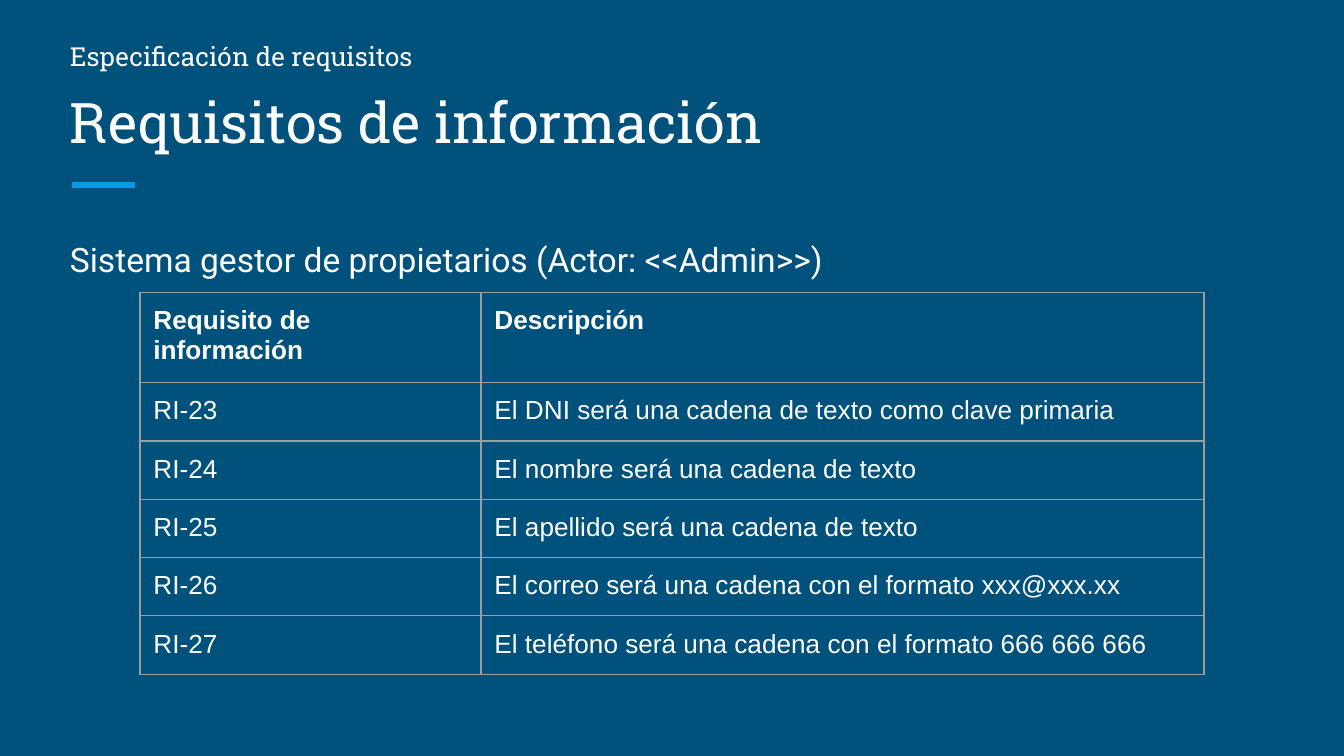
from lxml.etree import SubElement
from pptx import Presentation
from pptx.dml.color import RGBColor
from pptx.enum.shapes import MSO_CONNECTOR
from pptx.enum.text import MSO_ANCHOR
from pptx.oxml import parse_xml
from pptx.oxml.ns import nsdecls, qn
from pptx.util import Pt

BACKGROUND = RGBColor(0x00, 0x51, 0x7C)
WHITE = RGBColor(0xFF, 0xFF, 0xFF)
ACCENT = RGBColor(0x03, 0x9B, 0xE5)
BORDER = RGBColor(0x9E, 0x9E, 0x9E)

INSET = 7.2
TEXT_LEFT = 30.4
TEXT_WIDTH = 659
TEXTS = [
    ("Especificación de requisitos", 14.4, 31.7, "Roboto Slab", 14, MSO_ANCHOR.TOP, 1),
    ("Requisitos de información", 36, 54, "Roboto Slab", 30, MSO_ANCHOR.BOTTOM, 1),
    ("Sistema gestor de propietarios (Actor: <<Admin>>)", 117.4, 242.6, "Roboto", 18,
     MSO_ANCHOR.TOP, 1.15),
]

TABLE_LEFT, TABLE_TOP = 75, 156.8
COLUMN_WIDTHS = [182.7, 387.3]
HEADER_HEIGHT, ROW_HEIGHT = 48.2, 31.2
ROWS = [
    ("Requisito de información", "Descripción"),
    ("RI-23", "El DNI será una cadena de texto como clave primaria"),
    ("RI-24", "El nombre será una cadena de texto"),
    ("RI-25", "El apellido será una cadena de texto"),
    ("RI-26", "El correo será una cadena con el formato xxx@xxx.xx"),
    ("RI-27", "El teléfono será una cadena con el formato 666 666 666"),
]


def write(text_frame, text, font_name, size, bold=False):
    text_frame.text = text
    font = text_frame.paragraphs[0].runs[0].font
    font.name = font_name
    font.size = Pt(size)
    font.bold = bold
    font.color.rgb = WHITE


def set_insets(target):
    target.margin_left = target.margin_right = Pt(INSET)
    target.margin_top = target.margin_bottom = Pt(INSET)


def add_text(slide, text, top, height, font_name, size, anchor, line_spacing):
    shape = slide.shapes.add_textbox(Pt(TEXT_LEFT), Pt(top), Pt(TEXT_WIDTH), Pt(height))
    text_frame = shape.text_frame
    text_frame.word_wrap = True
    text_frame.vertical_anchor = anchor
    set_insets(text_frame)
    write(text_frame, text, font_name, size)
    text_frame.paragraphs[0].line_spacing = line_spacing


def add_accent_line(slide):
    line = slide.shapes.add_connector(MSO_CONNECTOR.STRAIGHT, Pt(38.6), Pt(99), Pt(72.3), Pt(99))
    line.line.color.rgb = ACCENT
    line.line.width = Pt(3)
    SubElement(line._element.spPr, qn("a:effectLst"))


def set_borders(cell):
    properties = cell._tc.get_or_add_tcPr()
    for index, side in enumerate(("lnL", "lnR", "lnT", "lnB")):
        properties.insert(index, parse_xml(
            f'<a:{side} {nsdecls("a")} w="{Pt(0.75)}"><a:solidFill>'
            f'<a:srgbClr val="{BORDER}"/></a:solidFill></a:{side}>'))


def add_requirements_table(slide):
    heights = [HEADER_HEIGHT] + [ROW_HEIGHT] * (len(ROWS) - 1)
    table = slide.shapes.add_table(
        len(ROWS), len(COLUMN_WIDTHS), Pt(TABLE_LEFT), Pt(TABLE_TOP),
        Pt(sum(COLUMN_WIDTHS)), Pt(sum(heights))).table
    table.first_row = True
    table.horz_banding = False
    for column, width in zip(table.columns, COLUMN_WIDTHS):
        column.width = Pt(width)
    for row_index, (height, texts) in enumerate(zip(heights, ROWS)):
        table.rows[row_index].height = Pt(height)
        for column_index, text in enumerate(texts):
            cell = table.cell(row_index, column_index)
            set_insets(cell)
            cell.fill.background()
            set_borders(cell)
            write(cell.text_frame, text, "Arial", 14, bold=row_index == 0)


def main():
    presentation = Presentation()
    presentation.slide_width = Pt(720)
    presentation.slide_height = Pt(405)
    slide = presentation.slides.add_slide(presentation.slide_layouts[6])
    slide.background.fill.solid()
    slide.background.fill.fore_color.rgb = BACKGROUND
    add_accent_line(slide)
    for text in TEXTS:
        add_text(slide, *text)
    add_requirements_table(slide)
    presentation.save("out.pptx")


if __name__ == "__main__":
    main()
